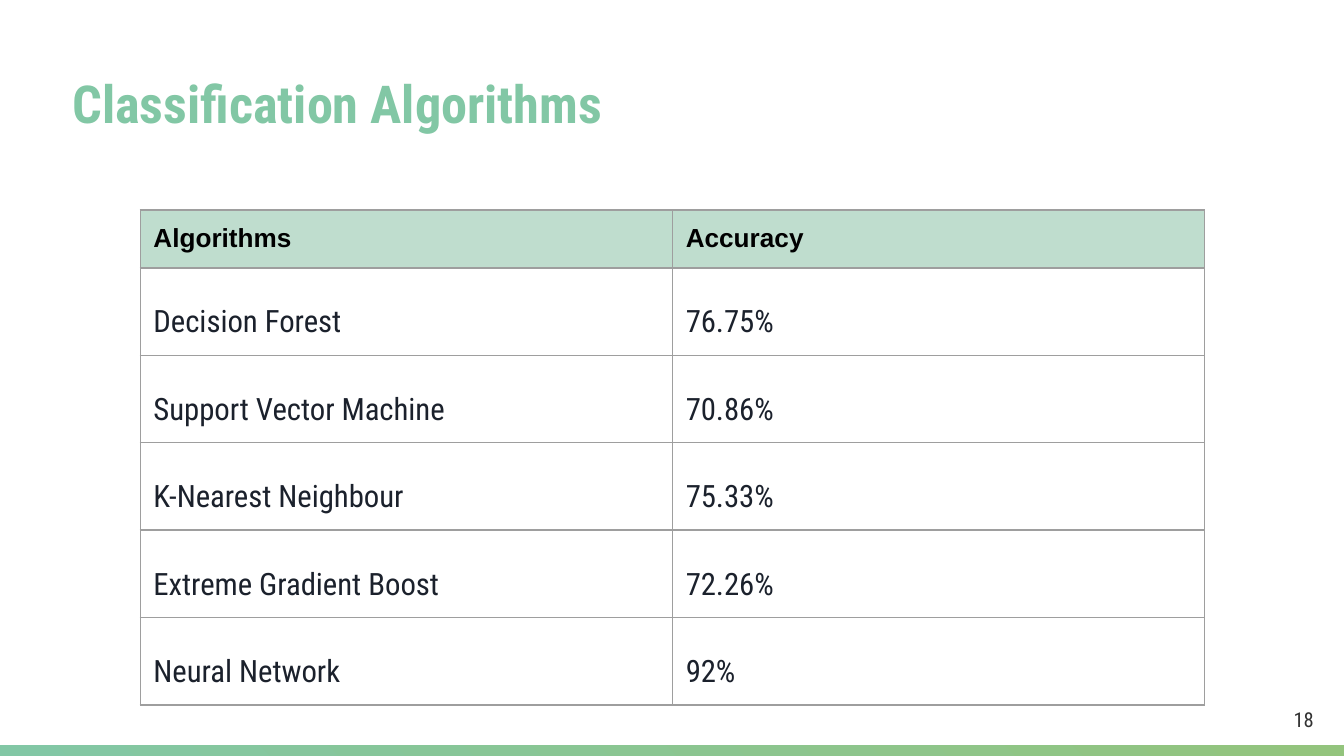
"""Build the slide that compares the accuracy of classification algorithms."""
from dataclasses import dataclass

from lxml import etree
from pptx import Presentation
from pptx.dml.color import RGBColor as RGB
from pptx.enum.shapes import MSO_SHAPE as SHAPE
from pptx.enum.text import MSO_ANCHOR as ANCHOR, PP_ALIGN as ALIGN
from pptx.oxml import parse_xml
from pptx.oxml.ns import nsdecls
from pptx.util import Cm, Pt


@dataclass(frozen=True)
class Theme:
    green: str = "82C7A5"
    lime: str = "93C47D"
    header: str = "BFDDCE"
    border: str = "9E9E9E"
    black: str = "000000"
    ink: str = "1B212C"
    grey: str = "333333"
    font: str = "Roboto Condensed"
    header_font: str = "Arial"
    title_size: float = 28
    header_size: float = 14
    body_size: float = 16.5
    number_size: float = 11


T = Theme()
INSET = Cm(0.25)


def add_run(p, text, font, size, color, bold=False):
    r = p.add_run()
    r.text = text
    r.font.name = font
    r.font.size = Pt(size)
    r.font.bold = bold
    r.font.color.rgb = RGB.from_string(color)


def set_borders(cell):
    tcPr = cell._tc.get_or_add_tcPr()
    for i, side in enumerate(("lnL", "lnR", "lnT", "lnB")):
        ln = parse_xml(f'<a:{side} {nsdecls("a")} w="{Pt(0.75)}"/>')
        fill = etree.SubElement(ln, "{%s}solidFill" % ln.nsmap["a"])
        etree.SubElement(fill, "{%s}srgbClr" % ln.nsmap["a"], val=T.border)
        tcPr.insert(i, ln)


prs = Presentation()
prs.slide_width, prs.slide_height = Cm(25.4), Cm(14.29)
s = prs.slides.add_slide(prs.slide_layouts[6])

labels = [
    ("Classification Algorithms", (1.12, 1.09, 22.05, 1.8), ANCHOR.TOP, ALIGN.LEFT,
     T.title_size, T.green, True),
    ("18", (23.88, 13.11, 1.52, 0.99), ANCHOR.MIDDLE, ALIGN.CENTER,
     T.number_size, T.grey, False),
]
for text, box, anchor, align, size, color, bold in labels:
    tf = s.shapes.add_textbox(*map(Cm, box)).text_frame
    tf.word_wrap = True
    tf.vertical_anchor = anchor
    tf.margin_left = tf.margin_right = tf.margin_top = tf.margin_bottom = INSET
    p = tf.paragraphs[0]
    p.alignment = align
    add_run(p, text, T.font, size, color, bold)

sp = s.shapes.add_shape(SHAPE.RECTANGLE, 0, Cm(14.09), prs.slide_width, Cm(0.2))
sp.shadow.inherit = False
sp.line.fill.background()
sp.fill.gradient()
sp.fill.gradient_angle = 45
for stop, color, position in zip(sp.fill.gradient_stops, (T.green, T.lime), (0, 1)):
    stop.color.rgb = RGB.from_string(color)
    stop.position = position

rows = [
    ("Algorithms", "Accuracy"),
    ("Decision Forest", "76.75%"),
    ("Support Vector Machine", "70.86%"),
    ("K-Nearest Neighbour", "75.33%"),
    ("Extreme Gradient Boost", "72.26%"),
    ("Neural Network", "92%"),
]
heights = [Cm(1.07)] + [Cm(1.63)] * (len(rows) - 1)
table = s.shapes.add_table(len(rows), 2, Cm(2.65), Cm(3.97), Cm(20.12), sum(heights)).table
table.first_row = table.horz_banding = False
for col in table.columns:
    col.width = Cm(10.06)
for i, values in enumerate(rows):
    table.rows[i].height = heights[i]
    for j, text in enumerate(values):
        cell = table.cell(i, j)
        cell.margin_left = cell.margin_right = cell.margin_top = cell.margin_bottom = INSET
        p = cell.text_frame.paragraphs[0]
        if i == 0:
            cell.fill.solid()
            cell.fill.fore_color.rgb = RGB.from_string(T.header)
            add_run(p, text, T.header_font, T.header_size, T.black, True)
        else:
            cell.fill.background()
            p.alignment = ALIGN.JUSTIFY
            p.line_spacing = 1.65
            add_run(p, text, T.font, T.body_size, T.ink)
        set_borders(cell)

prs.save("out.pptx")
